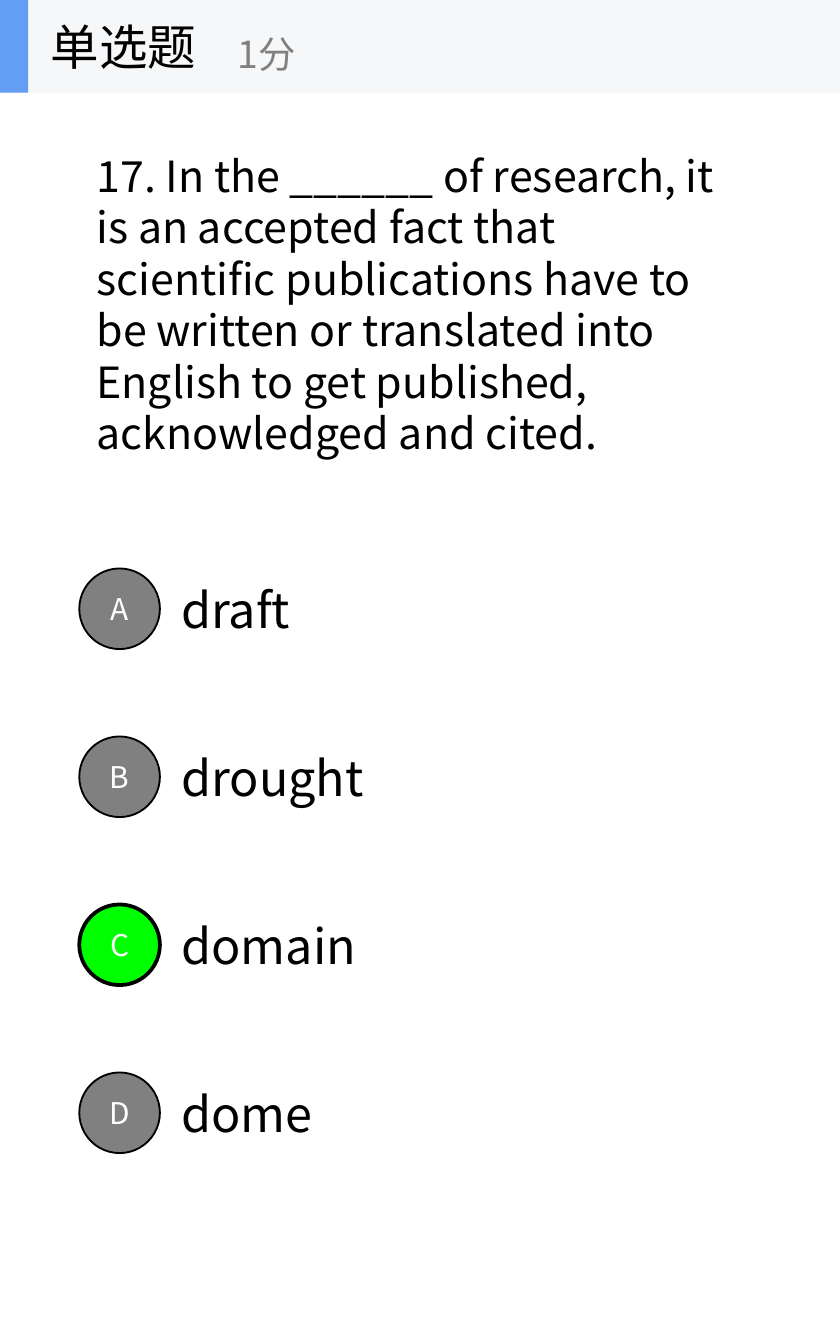
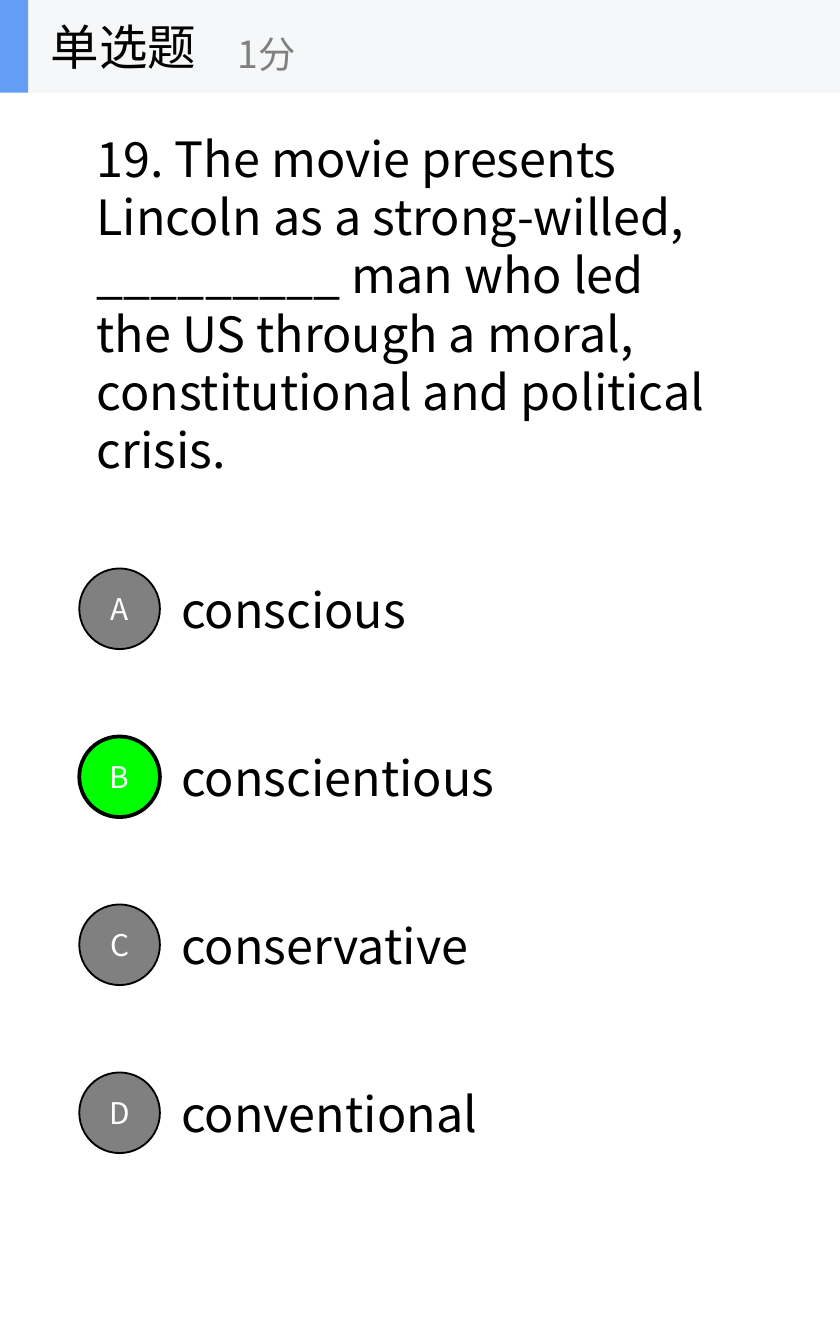
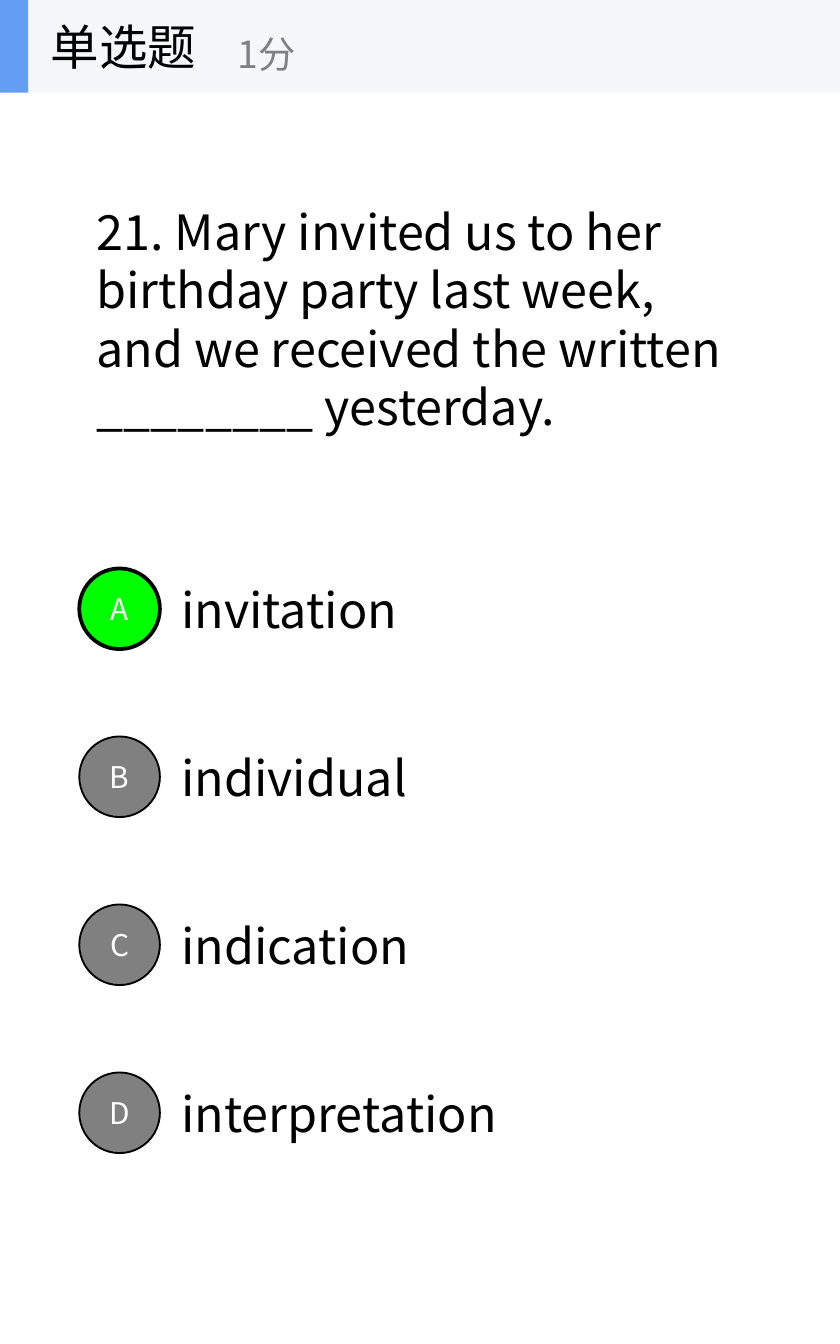
from dataclasses import dataclass

from lxml.etree import SubElement
from pptx import Presentation
from pptx.dml.color import RGBColor as RGB
from pptx.enum.shapes import MSO_SHAPE as SHAPE
from pptx.enum.text import MSO_ANCHOR as ANCHOR, MSO_AUTO_SIZE as FIT, PP_ALIGN as ALIGN
from pptx.oxml.ns import qn
from pptx.util import Inches, Pt


@dataclass(frozen=True)
class Theme:
    font: str = "Noto Sans CJK SC"
    ink: str = "000000"
    muted: str = "808080"
    white: str = "FFFFFF"
    correct: str = "00FF00"
    band: str = "F6F7F8"
    accent: str = "639EF4"
    body: int = 26
    dense: int = 23
    points: int = 20
    letter: int = 16


THEME = Theme()
QUESTION_TYPE, SCORE = "单选题", "1分"

# Boxes are (left, top, width, height); each option is (word, box width).
QUESTIONS = [
    dict(
        stem="17. In the ______ of research, it is an accepted fact that scientific "
             "publications have to be written or translated into English to get "
             "published, acknowledged and cited.",
        box=(0.62, 1.05, 4.94, 2.42), size=THEME.dense, grow=True,
        options=[("draft", 1.14), ("drought", 1.71), ("domain", 1.62), ("dome", 1.31)],
        option_height=0.53, answer="C",
    ),
    dict(
        stem="19. The movie presents Lincoln as a strong-willed, _________ man who led "
             "the US through a moral, constitutional and political crisis.",
        box=(0.62, 0.91, 4.89, 2.7), size=THEME.body, grow=True,
        options=[("conscious", 2), ("conscientious", 2.66),
                 ("conservative", 2.47), ("conventional", 2.53)],
        option_height=0.53, answer="B",
    ),
    dict(
        stem="21. Mary invited us to her birthday party last week, and we received "
             "the written ________ yesterday.",
        box=(0.62, 0.81, 5, 3.12), size=THEME.body, grow=False,
        options=[("invitation", 4.38), ("individual", 4.38),
                 ("indication", 4.38), ("interpretation", 4.38)],
        option_height=0.94, answer="A",
    ),
]

SLIDE_WIDTH, SLIDE_HEIGHT = 6.25, 10
HEADER_HEIGHT = 0.69
FIRST_CENTER, OPTION_STEP = 4.53, 1.25
CIRCLE_LEFT, CIRCLE_SIZE = 0.59, 0.6
OPTION_LEFT = 1.25


def write(shape, text, size=THEME.body, color=THEME.ink, align=ALIGN.LEFT,
          wrap=True, grow=False):
    frame = shape.text_frame
    frame.word_wrap = wrap
    frame.auto_size = FIT.SHAPE_TO_FIT_TEXT if grow else FIT.NONE
    frame.vertical_anchor = ANCHOR.MIDDLE
    paragraph = frame.paragraphs[0]
    paragraph.alignment = align
    run = paragraph.add_run()
    run.text = text
    run.font.name = THEME.font
    run.font.size = Pt(size)
    run.font.color.rgb = RGB.from_string(color)
    SubElement(run.font._element, qn("a:ea")).set("typeface", THEME.font)


def add_text(shapes, box, text, **style):
    write(shapes.add_textbox(*map(Inches, box)), text, **style)


def add_filled(shapes, kind, box, fill, line_width=0):
    shape = shapes.add_shape(kind, *map(Inches, box))
    shape.shadow.inherit = False
    shape.fill.solid()
    shape.fill.fore_color.rgb = RGB.from_string(fill)
    if line_width:
        shape.line.color.rgb = RGB.from_string(THEME.ink)
        shape.line.width = Pt(line_width)
    else:
        shape.line.fill.background()
    return shape


def add_header(slide):
    header = slide.shapes.add_group_shape().shapes
    add_filled(header, SHAPE.RECTANGLE, (0, 0, SLIDE_WIDTH, HEADER_HEIGHT), THEME.band)
    add_filled(header, SHAPE.RECTANGLE, (0, 0, 0.21, HEADER_HEIGHT), THEME.accent)
    add_text(header, (0.28, 0, 2.08, HEADER_HEIGHT), QUESTION_TYPE, wrap=False)
    add_text(header, (1.67, 0.12, 2.5, 0.56), SCORE,
             size=THEME.points, color=THEME.muted, wrap=False)


def add_option(slide, index, letter, option, question):
    word, width = option
    center = FIRST_CENTER + index * OPTION_STEP
    height = question["option_height"]
    add_text(slide.shapes, (OPTION_LEFT, center - height / 2, width, height), word,
             grow=question["grow"])

    correct = letter == question["answer"]
    circle = add_filled(
        slide.shapes, SHAPE.OVAL,
        (CIRCLE_LEFT, center - CIRCLE_SIZE / 2, CIRCLE_SIZE, CIRCLE_SIZE),
        THEME.correct if correct else THEME.muted, line_width=2 if correct else 1)
    write(circle, letter, size=THEME.letter, color=THEME.white, align=ALIGN.CENTER)


def add_question(deck, question):
    slide = deck.slides.add_slide(deck.slide_layouts[6])
    add_text(slide.shapes, question["box"], question["stem"],
             size=question["size"], grow=question["grow"])
    for index, (letter, option) in enumerate(zip("ABCD", question["options"])):
        add_option(slide, index, letter, option, question)
    add_header(slide)


def main():
    deck = Presentation()
    deck.slide_width, deck.slide_height = Inches(SLIDE_WIDTH), Inches(SLIDE_HEIGHT)
    for question in QUESTIONS:
        add_question(deck, question)
    deck.save("out.pptx")


if __name__ == "__main__":
    main()
